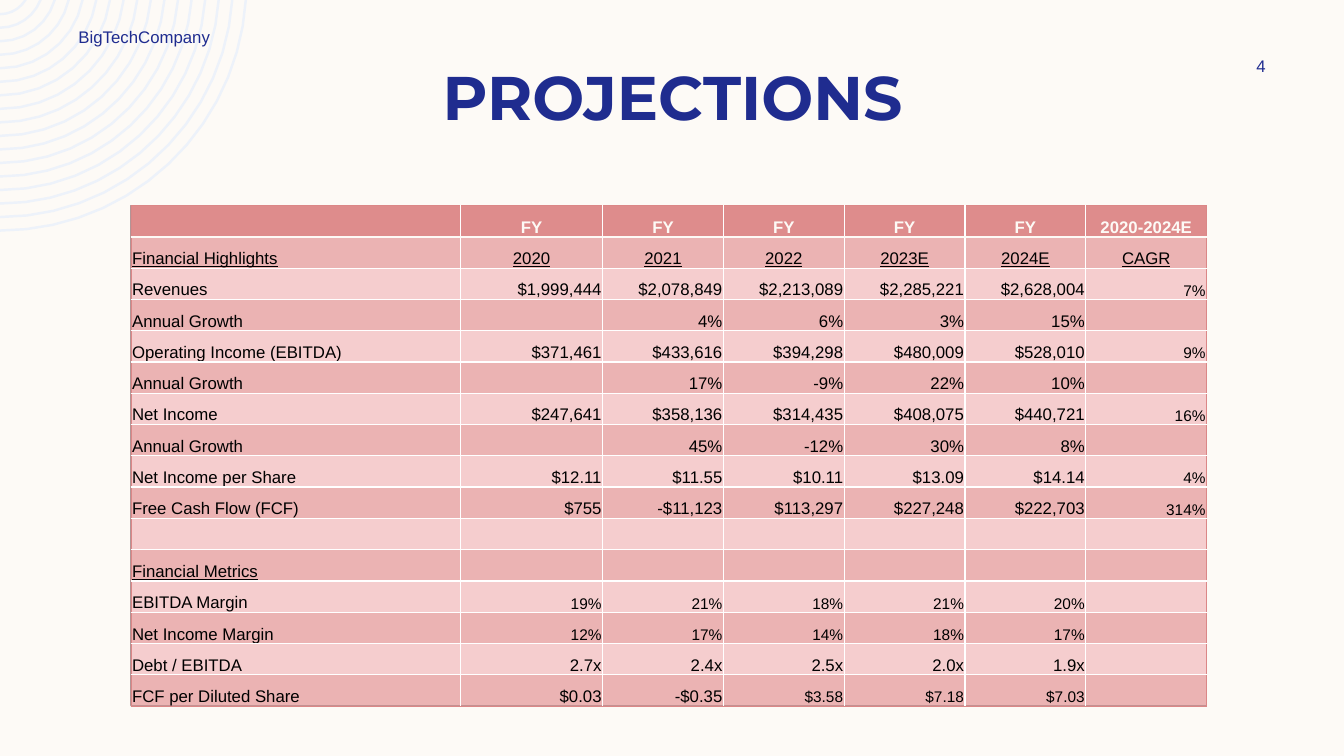
"""Builds the PROJECTIONS slide: ring ornament, heading and financial table."""
from math import asin, cos, pi, sin

from lxml.etree import SubElement
from pptx import Presentation
from pptx.dml.color import RGBColor
from pptx.enum.shapes import MSO_SHAPE
from pptx.enum.text import MSO_ANCHOR, PP_ALIGN
from pptx.oxml.ns import qn
from pptx.util import Pt

NAVY, CREAM, ROSE, BORDER = "1F2C8F", "FDFAF6", "DE8C8C", "DB8787"


def color(value):
    return RGBColor.from_string(value)


def format_text(text_frame, text, size, value, align, font="Arial", bold=False, underline=False):
    text_frame.text = text
    paragraph = text_frame.paragraphs[0]
    paragraph.alignment = align
    for run in paragraph.runs:
        run.font.name = font
        run.font.size = Pt(size)
        run.font.bold = bold
        run.font.color.rgb = color(value)
        if underline:
            run.font.underline = True


presentation = Presentation()
presentation.slide_width = Pt(960)
presentation.slide_height = Pt(540)
slide = presentation.slides.add_slide(presentation.slide_layouts[6])
slide.background.fill.solid()
slide.background.fill.fore_color.rgb = color(CREAM)

CENTER_Y, OUTER_RADIUS, RING_PITCH, RING_WIDTH = -11.2, 176.8, 9.66, 1.75
rings = []
for ring in range(17):
    outer = OUTER_RADIUS - ring * RING_PITCH
    steps = 4 + round(outer / 18)
    arcs = []
    for radius in (outer, outer - RING_WIDTH):
        start = asin(-CENTER_Y / radius)
        angles = [start + (pi / 2 - start) * step / steps for step in range(steps + 1)]
        arcs.append([(Pt(radius * cos(angle)), Pt(CENTER_Y + radius * sin(angle))) for angle in angles])
    rings.append(arcs[0] + arcs[1][::-1])
builder = slide.shapes.build_freeform(*rings[0][0])
for index, points in enumerate(rings):
    if index:
        builder.move_to(*points[0])
    builder.add_line_segments(points[1:], close=True)
ornament = builder.convert_to_shape()
ornament.shadow.inherit = False
ornament.fill.solid()
ornament.fill.fore_color.rgb = color("EDF2FA")
ornament.line.fill.background()

labels = [
    ("PROJECTIONS", 60.5, 38.9, 840, 60.5, 44, "Montserrat", True, PP_ALIGN.CENTER, MSO_ANCHOR.TOP),
    ("4", 861.8, 36, 77.8, 21.6, 12, "Arial", False, PP_ALIGN.CENTER, MSO_ANCHOR.MIDDLE),
    ("BigTechCompany", 49, 15.8, 252, 21.6, 12, "Arial", False, PP_ALIGN.LEFT, MSO_ANCHOR.MIDDLE),
]
for text, left, top, width, height, size, font, bold, align, anchor in labels:
    box = slide.shapes.add_textbox(Pt(left), Pt(top), Pt(width), Pt(height))
    box.text_frame.word_wrap = True
    box.text_frame.vertical_anchor = anchor
    format_text(box.text_frame, text, size, NAVY, align, font, bold)

rows = [
    ["", "FY", "FY", "FY", "FY", "FY", "2020-2024E"],
    ["Financial Highlights", "2020", "2021", "2022", "2023E", "2024E", "CAGR"],
    ["Revenues", "$1,999,444", "$2,078,849", "$2,213,089", "$2,285,221", "$2,628,004", "7%"],
    ["Annual Growth", "", "4%", "6%", "3%", "15%", ""],
    ["Operating Income (EBITDA)", "$371,461", "$433,616", "$394,298", "$480,009", "$528,010", "9%"],
    ["Annual Growth", "", "17%", "-9%", "22%", "10%", ""],
    ["Net Income", "$247,641", "$358,136", "$314,435", "$408,075", "$440,721", "16%"],
    ["Annual Growth", "", "45%", "-12%", "30%", "8%", ""],
    ["Net Income per Share", "$12.11", "$11.55", "$10.11", "$13.09", "$14.14", "4%"],
    ["Free Cash Flow (FCF)", "$755", "-$11,123", "$113,297", "$227,248", "$222,703", "314%"],
    [""] * 7,
    ["Financial Metrics"] + [""] * 6,
    ["EBITDA Margin", "19%", "21%", "18%", "21%", "20%", ""],
    ["Net Income Margin", "12%", "17%", "14%", "18%", "17%", ""],
    ["Debt / EBITDA", "2.7x", "2.4x", "2.5x", "2.0x", "1.9x", ""],
    ["FCF per Diluted Share", "$0.03", "-$0.35", "$3.58", "$7.18", "$7.03", ""],
]
column_widths = [235.4, 101.5] + [86.3] * 5
ROW_HEIGHT = 22.32
table_area = (Pt(93.6), Pt(146.9), Pt(sum(column_widths)), Pt(ROW_HEIGHT * len(rows)))

panel = slide.shapes.add_shape(MSO_SHAPE.RECTANGLE, *table_area)
panel.shadow.inherit = False
panel.fill.solid()
panel.fill.fore_color.rgb = color("F5CDCE")
panel.line.color.rgb = color("B29596")
panel.line.width = Pt(1)

table = slide.shapes.add_table(len(rows), len(column_widths), *table_area).table
table.first_row = False
table.horz_banding = False
for column, width in zip(table.columns, column_widths):
    column.width = Pt(width)
for row_index, values in enumerate(rows):
    table.rows[row_index].height = Pt(ROW_HEIGHT)
    header = row_index == 0
    for column_index, text in enumerate(values):
        cell = table.cell(row_index, column_index)
        cell.margin_left = cell.margin_right = cell.margin_top = Pt(0.75)
        cell.margin_bottom = 0
        cell.vertical_anchor = MSO_ANCHOR.BOTTOM
        small = row_index > 1 and (
            column_index == 6
            or (row_index in (12, 13) and column_index > 0)
            or (row_index == 15 and column_index > 2)
        )
        if column_index == 0:
            align = PP_ALIGN.LEFT
        else:
            align = PP_ALIGN.CENTER if row_index < 2 else PP_ALIGN.RIGHT
        underline = row_index == 1 or text == "Financial Metrics"
        format_text(cell.text_frame, text, 11 if small else 12, CREAM if header else "000000",
                    align, bold=header, underline=underline)

        properties = cell._tc.get_or_add_tcPr()
        sides = ["lnL"] * (column_index == 0) + ["lnR"] + ["lnT"] * header + ["lnB"]
        for side in sides:
            divider = header and side == "lnB"
            border = SubElement(properties, qn(f"a:{side}"), w=str(Pt(2 if divider else 0.75)))
            border_fill = SubElement(border, qn("a:solidFill"))
            SubElement(border_fill, qn("a:srgbClr"), val=CREAM if divider else BORDER)
        if header or row_index % 2:
            cell.fill.solid()
            cell.fill.fore_color.rgb = color(ROSE)
            if not header:
                band_color = properties.find(qn("a:solidFill")).find(qn("a:srgbClr"))
                SubElement(band_color, qn("a:alpha"), val="40000")
        else:
            cell.fill.background()

presentation.save("out.pptx")
